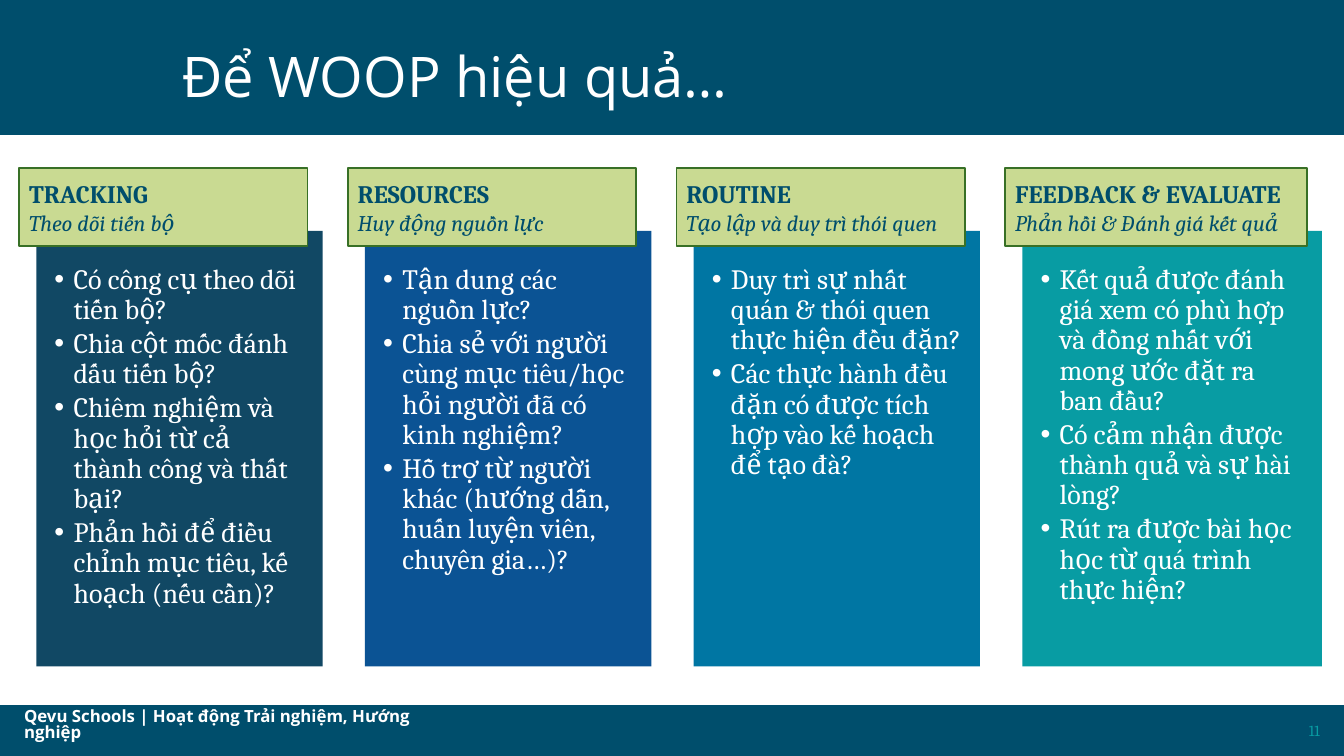
from pptx import Presentation
from pptx.dml.color import RGBColor as Rgb
from pptx.enum.shapes import MSO_SHAPE as Shape
from pptx.enum.text import MSO_ANCHOR as Anchor, MSO_AUTO_SIZE as Fit, PP_ALIGN as Align
from pptx.oxml.ns import qn
from pptx.util import Inches, Pt
from lxml.etree import SubElement

WIDE, HIGH = 13.33, 7.5
NAVY, WHITE, TEAL = "004E6C", "FFFFFF", "089CA3"
SERIF, SANS = "Cambria", "Open Sans"
STEP = 3.26  # distance from one column to the next

# heading, subheading, fill, panel width, questions
COLUMNS = [
    ("TRACKING", "Theo dõi tiến bộ", "114864", 2.84, [
        "Có công cụ theo dõi tiến bộ?",
        "Chia cột mốc đánh dấu tiến bộ?",
        "Chiêm nghiệm và học hỏi từ cả thành công và thất bại?",
        "Phản hồi để điều chỉnh mục tiêu, kế hoạch (nếu cần)?"]),
    ("RESOURCES", "Huy động nguồn lực", "0B5394", 2.84, [
        "Tận dung các nguồn lực?",
        "Chia sẻ với người cùng mục tiêu/học hỏi người đã có kinh nghiệm?",
        "Hỗ trợ từ người khác (hướng dẫn, huấn luyện viên, chuyên gia…)?"]),
    ("ROUTINE", "Tạo lập và duy trì thói quen", "0076A3", 2.84, [
        "Duy trì sự nhất quán & thói quen thực hiện đều đặn?",
        "Các thực hành đều đặn có được tích hợp vào kế hoạch để tạo đà?"]),
    ("FEEDBACK & EVALUATE", "Phản hồi & Đánh giá kết quả", TEAL, 2.97, [
        "Kết quả được đánh giá xem có phù hợp và đồng nhất với mong ước đặt ra ban đầu?",
        "Có cảm nhận được thành quả và sự hài lòng?",
        "Rút ra được bài học học từ quá trình thực hiện?"]),
]


def paint(color, code):
    color.rgb = Rgb.from_string(code)


def place(shape, box):
    shape.left, shape.top, shape.width, shape.height = map(Inches, box)


def style(par, size, name, code, bold=False, italic=False, lead=1.0):
    par.line_spacing = lead
    for run in par.runs:
        font = run.font
        font.size, font.name, font.bold, font.italic = Pt(size), name, bold, italic
        paint(font.color, code)


def setup(frame, anchor, pads=(0.1, 0.05, 0.1, 0.05)):
    frame.word_wrap, frame.auto_size = True, Fit.NONE
    frame.vertical_anchor = anchor
    (frame.margin_left, frame.margin_top,
     frame.margin_right, frame.margin_bottom) = map(Inches, pads)


def block(slide, box, fill, line):
    shape = slide.shapes.add_shape(Shape.RECTANGLE, *map(Inches, box))
    shape.shadow.inherit = False
    shape.fill.solid()
    paint(shape.fill.fore_color, fill)
    paint(shape.line.color, line)
    shape.line.width = Pt(1.25)
    return shape


def label(slide, box, text, anchor, pads):
    frame = slide.shapes.add_textbox(*map(Inches, box)).text_frame
    setup(frame, anchor, pads)
    frame.text = text
    return frame.paragraphs[0]


def header(slide, box, text):
    left, top, width, height = box
    block(slide, box, NAVY, NAVY)
    title = slide.shapes.title
    title.element.getparent().append(title.element)  # in front of the band
    place(title, (left + 1.71, top + 0.44, width - 3.02, height - 0.61))
    frame = title.text_frame
    setup(frame, Anchor.TOP)
    frame.text = text
    par = frame.paragraphs[0]
    par.alignment = Align.LEFT
    style(par, 40, SANS, WHITE, lead=0.9)
    par.runs[0].font.element.set("spc", "-40") if hasattr(par.runs[0].font, "element") else None


def footer(slide, box, text, number):
    left, top, width, _ = box
    block(slide, box, NAVY, NAVY)
    par = label(slide, (left + 0.14, top + 0.12, 4.41, 0.34), text,
                Anchor.BOTTOM, (0.1, 0.1, 0.1, 0.1))
    style(par, 12, SANS, WHITE, bold=True, lead=0.8)
    par = label(slide, (width - 1.31, top + 0.05, 1.17, 0.4), number,
                Anchor.MIDDLE, (0.1, 0.05, 0.1, 0.05))
    par.alignment = Align.RIGHT
    style(par, 11, SERIF, TEAL)


def bullet(par):
    props = par._p.get_or_add_pPr()
    props.set("marL", str(Inches(0.19)))
    props.set("indent", str(Inches(-0.19)))
    SubElement(props, qn("a:buFont")).set("typeface", "Arial")
    SubElement(props, qn("a:buChar")).set("char", "•")


def panel(holder, box, fill, items):
    place(holder, box)
    holder.fill.solid()
    paint(holder.fill.fore_color, fill)
    frame = holder.text_frame
    setup(frame, Anchor.TOP, (0.18, 0.34, 0.18, 0.18))
    frame.text = "\n".join(items)
    for par in frame.paragraphs:
        style(par, 20, SERIF, WHITE, lead=0.9)
        par.space_before, par.space_after = Pt(0), Pt(2.7)
        bullet(par)


def tag(slide, box, head, sub):
    frame = block(slide, box, "C9DA92", "387026").text_frame
    setup(frame, Anchor.MIDDLE)
    frame.text = f"{head}\n{sub}"
    for par in frame.paragraphs:
        par.alignment = Align.LEFT
    style(frame.paragraphs[0], 18, SERIF, NAVY, bold=True)
    style(frame.paragraphs[1], 16, SERIF, NAVY, italic=True)


def column(slide, holder, left, top, data):
    head, sub, fill, width, items = data
    panel(holder, (left + 0.17, top + 0.62, width, 4.32), fill, items)
    tag(slide, (left, top, width + 0.02, 0.77), head, sub)


def main():
    deck = Presentation()
    deck.slide_width, deck.slide_height = Inches(WIDE), Inches(HIGH)
    # the comparison layout has a title and four bodies
    slide = deck.slides.add_slide(deck.slide_layouts[4])
    bodies = [p for p in slide.placeholders if p.placeholder_format.idx]
    header(slide, (0, 0, WIDE, 1.33), "Để WOOP hiệu quả…")
    for i, (holder, data) in enumerate(zip(bodies, COLUMNS)):
        column(slide, holder, 0.19 + i * STEP, 1.67, data)
    footer(slide, (0, 7, WIDE, 0.5),
           "Qevu Schools | Hoạt động Trải nghiệm, Hướng nghiệp", "11")
    deck.save("out.pptx")


if __name__ == "__main__":
    main()
